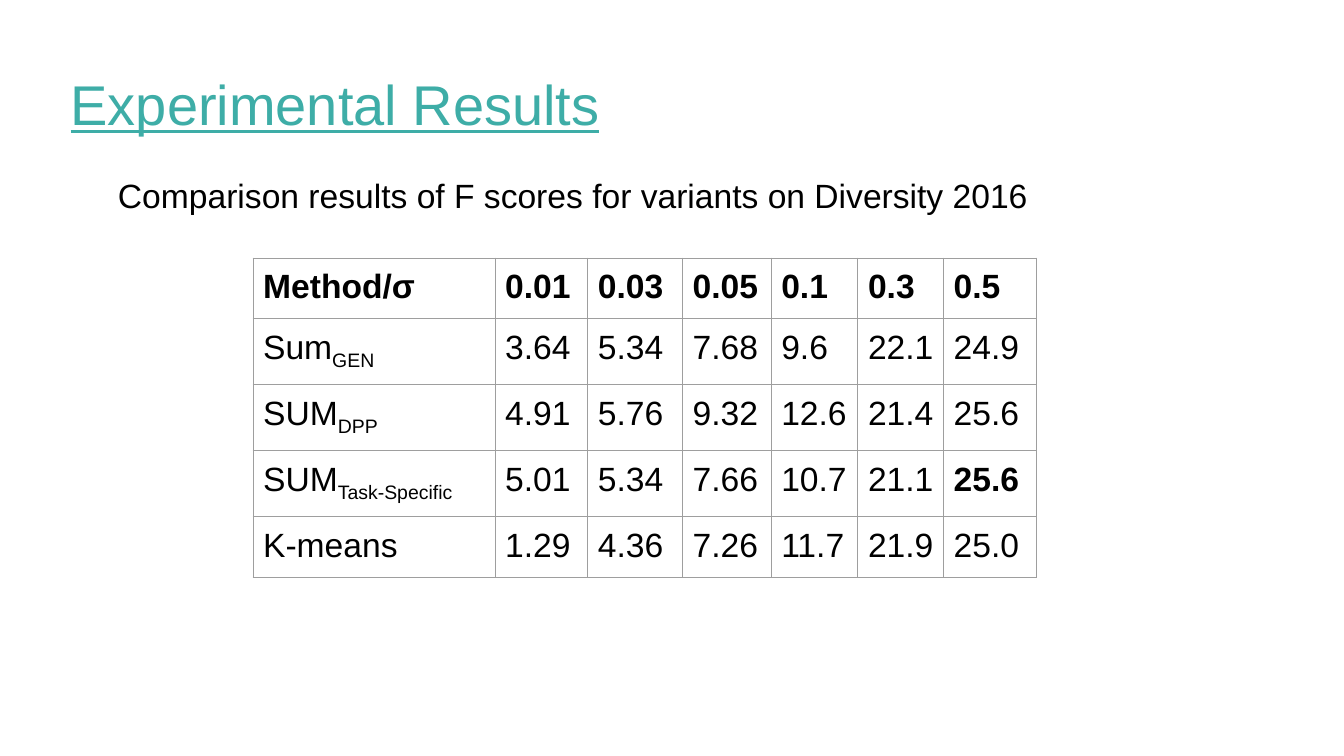
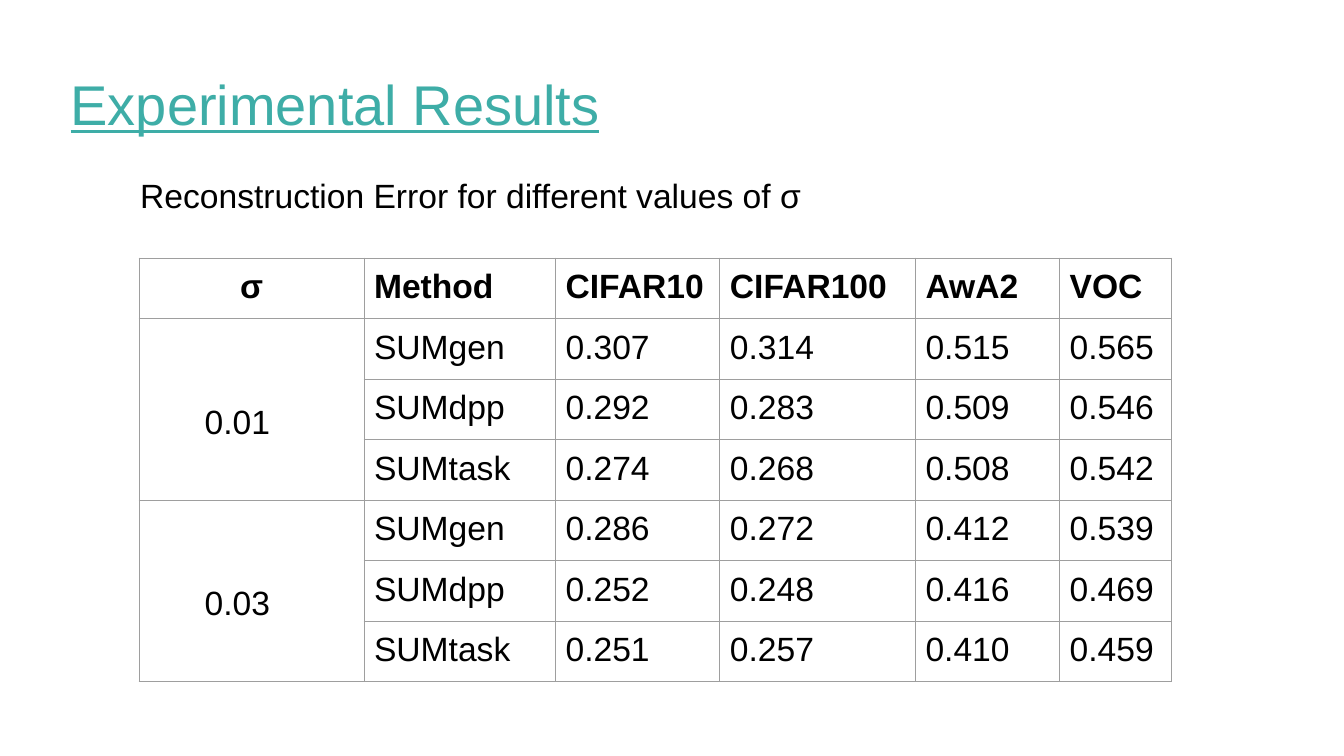
from lxml import etree
from pptx import Presentation
from pptx.dml.color import RGBColor
from pptx.enum import text
from pptx.oxml.ns import qn
from pptx.util import Inches, Pt

FONT = "Arial"
TEAL, BLACK, GREY = "3EADA7", "000000", "9E9E9E"
TITLE = "Experimental Results"
TITLE_BOX = (0.69, 0.67, 11.74, 0.69)
CAPTION_TOP, TABLE_TOP, ROW_HEIGHT = 1.69, 2.56, 0.6

# A tuple in a cell is a name followed by its subscript.
F_SCORES = {
    "caption": "Comparison results of F scores for variants on Diversity 2016",
    "caption_left": 1.16,
    "caption_width": 10.19,
    "table_left": 2.51,
    "columns": [2.4, 0.92, 0.94, 0.88, 0.86, 0.85, 0.92],
    "rows": [
        ["Method/σ", "0.01", "0.03", "0.05", "0.1", "0.3", "0.5"],
        [("Sum", "GEN"), "3.64", "5.34", "7.68", "9.6", "22.1", "24.9"],
        [("SUM", "DPP"), "4.91", "5.76", "9.32", "12.6", "21.4", "25.6"],
        [("SUM", "Task-Specific"), "5.01", "5.34", "7.66", "10.7", "21.1", "25.6"],
        ["K-means", "1.29", "4.36", "7.26", "11.7", "21.9", "25.0"],
    ],
    "last_row_height": 0.58,
    "best": (3, 6),
}
ERRORS = {
    "caption": "Reconstruction Error for different values of σ",
    "caption_left": 1.38,
    "caption_width": 9.25,
    "table_left": 1.38,
    "columns": [2.23, 1.9, 1.63, 1.94, 1.43, 1.11],
    "rows": [
        ["σ", "Method", "CIFAR10", "CIFAR100", "AwA2", "VOC"],
        ["0.01", "SUMgen", "0.307", "0.314", "0.515", "0.565"],
        ["", "SUMdpp", "0.292", "0.283", "0.509", "0.546"],
        ["", "SUMtask", "0.274", "0.268", "0.508", "0.542"],
        ["0.03", "SUMgen", "0.286", "0.272", "0.412", "0.539"],
        ["", "SUMdpp", "0.252", "0.248", "0.416", "0.469"],
        ["", "SUMtask", "0.251", "0.257", "0.410", "0.459"],
    ],
    "group_size": 3,
}


def style(paragraph, size, color, bold=False, underline=False):
    font = paragraph.font
    font.name, font.size = FONT, Pt(size)
    font.bold, font.underline = bold, underline
    font.color.rgb = RGBColor.from_string(color)


def set_margins(holder, left, top, right, bottom):
    """Set the inner margins, in inches, of a text frame or table cell."""
    holder.margin_left, holder.margin_top = Inches(left), Inches(top)
    holder.margin_right, holder.margin_bottom = Inches(right), Inches(bottom)


def add_title(slide):
    title = slide.shapes.title
    title.left, title.top, title.width, title.height = map(Inches, TITLE_BOX)
    frame = title.text_frame
    frame.text = TITLE
    frame.auto_size = text.MSO_AUTO_SIZE.NONE
    frame.vertical_anchor = text.MSO_ANCHOR.BOTTOM
    set_margins(frame, 0.01, 0.01, 0, 0)
    paragraph = frame.paragraphs[0]
    paragraph.alignment = text.PP_ALIGN.LEFT
    style(paragraph, 40, TEAL, underline=True)


def add_caption(slide, content):
    box = slide.shapes.add_textbox(
        Inches(content["caption_left"]), Inches(CAPTION_TOP),
        Inches(content["caption_width"]), Inches(0.69))
    frame = box.text_frame
    frame.word_wrap = True
    frame.text = content["caption"]
    set_margins(frame, 0.01, 0.04, 0, 0)
    style(frame.paragraphs[0], 24, BLACK)


def add_borders(cell):
    properties = cell._tc.get_or_add_tcPr()
    for index, side in enumerate(("lnL", "lnR", "lnT", "lnB")):
        line = etree.Element(qn(f"a:{side}"), w=str(Pt(0.75)))
        fill = etree.SubElement(line, qn("a:solidFill"))
        etree.SubElement(fill, qn("a:srgbClr"), val=GREY)
        properties.insert(index, line)


def fill_cell(cell, value, bold):
    name, subscript = value if isinstance(value, tuple) else (value, "")
    paragraph = cell.text_frame.paragraphs[0]
    if name:
        paragraph.add_run().text = name
    if subscript:
        run = paragraph.add_run()
        run.text = subscript
        run._r.get_or_add_rPr().set("baseline", "-25000")
    style(paragraph, 24, BLACK, bold)
    set_margins(cell, 0.1, 0.1, 0.1, 0.1)
    cell.fill.background()
    add_borders(cell)


def merge_groups(table, group_size):
    """Join the first column's cells in groups below a centred heading."""
    table.cell(0, 0).text_frame.paragraphs[0].alignment = text.PP_ALIGN.CENTER
    for first in range(1, len(table.rows), group_size):
        cell = table.cell(first, 0)
        cell.merge(table.cell(first + group_size - 1, 0))
        cell.vertical_anchor = text.MSO_ANCHOR.MIDDLE
        set_margins(cell, 0.65, 0.36, 0.1, 0.1)


def add_results_table(slide, content):
    rows, widths = content["rows"], content["columns"]
    table = slide.shapes.add_table(
        len(rows), len(widths), Inches(content["table_left"]), Inches(TABLE_TOP),
        Inches(sum(widths)), Inches(ROW_HEIGHT * len(rows))).table
    table.horz_banding = False
    for column, width in zip(table.columns, widths):
        column.width = Inches(width)
    for row in table.rows:
        row.height = Inches(ROW_HEIGHT)
    table.rows[len(rows) - 1].height = Inches(content.get("last_row_height", ROW_HEIGHT))
    for row_index, values in enumerate(rows):
        for column_index, value in enumerate(values):
            bold = row_index == 0 or (row_index, column_index) == content.get("best")
            fill_cell(table.cell(row_index, column_index), value, bold)
    if "group_size" in content:
        merge_groups(table, content["group_size"])


def main():
    presentation = Presentation()
    presentation.slide_width, presentation.slide_height = Inches(13.33), Inches(7.5)
    title_only = presentation.slide_layouts[5]
    for content in (F_SCORES, ERRORS):
        slide = presentation.slides.add_slide(title_only)
        add_title(slide)
        add_caption(slide, content)
        add_results_table(slide, content)
    presentation.save("out.pptx")


if __name__ == "__main__":
    main()
